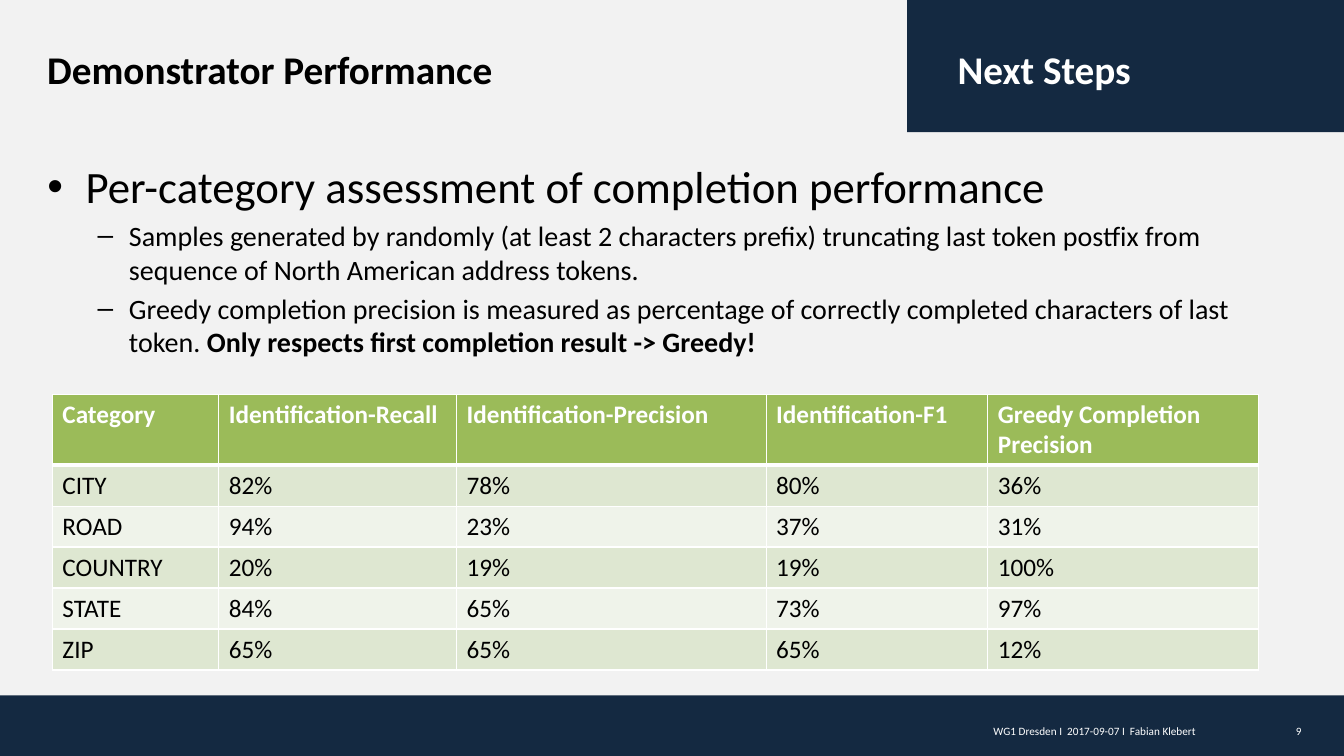
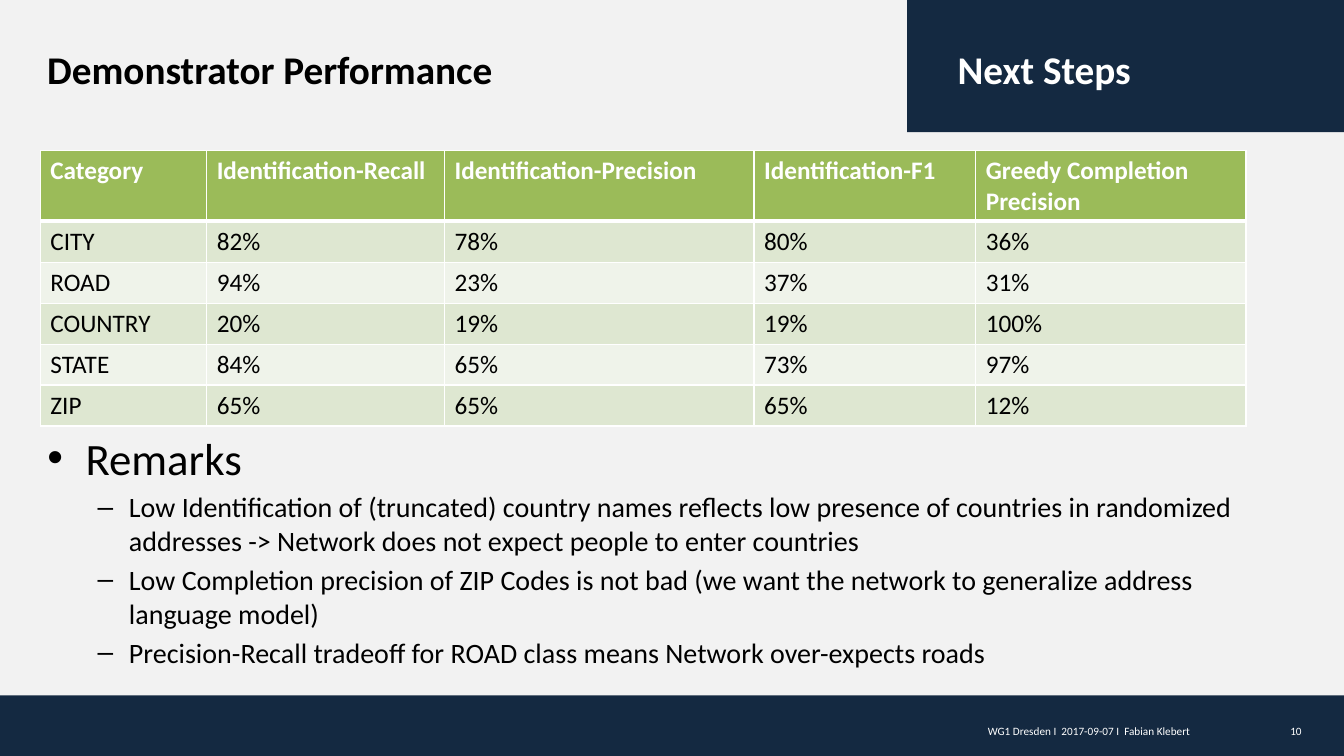
from lxml.etree import SubElement
from pptx import Presentation
from pptx.dml.color import RGBColor
from pptx.enum.shapes import MSO_SHAPE
from pptx.enum.text import MSO_ANCHOR, PP_ALIGN
from pptx.oxml import parse_xml
from pptx.oxml.ns import nsdecls, qn
from pptx.util import Inches, Pt

COLORS = {
    "paper": "F2F2F2",
    "navy": "142941",
    "white": "FFFFFF",
    "ink": "000000",
    "header": "9BBB59",
    "odd_row": "DEE7D1",
    "even_row": "EFF3EA",
}
FONT = "Calibri"
SCORES = [
    ["Category", "Identification-Recall", "Identification-Precision",
     "Identification-F1", "Greedy Completion Precision"],
    ["CITY", "82%", "78%", "80%", "36%"],
    ["ROAD", "94%", "23%", "37%", "31%"],
    ["COUNTRY", "20%", "19%", "19%", "100%"],
    ["STATE", "84%", "65%", "73%", "97%"],
    ["ZIP", "65%", "65%", "65%", "12%"],
]
SCORE_COLUMNS = [12.38, 17.7, 23.03, 16.5, 20.11]
HEADER_HEIGHT, ROW_HEIGHT = 9.4, 5.42


class Deck:
    """Shared style and current slide; lengths are percentages of the slide's size."""

    def __init__(self):
        self.presentation = Presentation()
        self.presentation.slide_width = Inches(13.33)
        self.presentation.slide_height = Inches(7.5)
        self.slide = None

    def across(self, share):
        return round(self.presentation.slide_width * share / 100)

    def down(self, share):
        return round(self.presentation.slide_height * share / 100)

    def box(self, left, top, width, height):
        return self.across(left), self.down(top), self.across(width), self.down(height)

    def color(self, name):
        return RGBColor.from_string(COLORS[name])

    def style(self, paragraph, size, color, bold=False):
        for run in paragraph.runs:
            run.font.name = FONT
            run.font.size = Pt(size)
            run.font.bold = bold
            run.font.color.rgb = self.color(color)

    def start(self, title, section, number):
        self.slide = self.presentation.slides.add_slide(self.presentation.slide_layouts[6])
        background = self.slide.background.fill
        background.solid()
        background.fore_color.rgb = self.color("paper")
        self.band(0, 92, 100, 8)
        self.band(67.5, 0, 32.5, 17.47)
        self.footer(number)
        self.heading(title, 2.78, 59.04, "ink")
        self.heading(section, 70.52, 26.78, "white")

    def band(self, *place):
        band = self.slide.shapes.add_shape(MSO_SHAPE.ROUNDED_RECTANGLE, *self.box(*place))
        band.adjustments[0] = 0
        band.shadow.inherit = False
        band.fill.solid()
        band.fill.fore_color.rgb = self.color("navy")
        band.line.fill.background()

    def text(self, *place):
        frame = self.slide.shapes.add_textbox(*self.box(*place)).text_frame
        frame.word_wrap = True
        return frame

    def heading(self, words, left, width, color):
        frame = self.text(left, 2.8, width, 12.53)
        frame.vertical_anchor = MSO_ANCHOR.MIDDLE
        frame.text = words
        frame.paragraphs[0].space_before = Pt(5.6)
        self.style(frame.paragraphs[0], 28, color, True)

    def footer(self, number):
        frame = self.text(48.69, 94, 48.16, 5.33)
        frame.margin_left = frame.margin_right = frame.margin_top = frame.margin_bottom = 0
        frame.vertical_anchor = MSO_ANCHOR.MIDDLE
        frame.text = f"WG1 Dresden I  2017-09-07 I  Fabian Klebert\t\t{number}"
        frame.paragraphs[0].alignment = PP_ALIGN.RIGHT
        self.style(frame.paragraphs[0], 8, "white")

    def bullet(self, paragraph, words, size, mark, indent, hang):
        paragraph.text = words
        paragraph.space_before = Pt(size * 0.2)
        self.style(paragraph, size, "ink")
        properties = paragraph._p.get_or_add_pPr()
        properties.set("marL", str(Inches(indent)))
        properties.set("indent", str(-Inches(hang)))
        SubElement(properties, qn("a:buFont"), typeface="Arial")
        SubElement(properties, qn("a:buChar"), char=mark)

    def outline(self, topic, points, top, height, emphasis=None):
        frame = self.text(2.78, top, 94.52, height)
        self.bullet(frame.paragraphs[0], topic, 32, "•", 0.38, 0.38)
        for point in points:
            paragraph = frame.add_paragraph()
            paragraph.level = 1
            self.bullet(paragraph, point, 20, "–", 0.81, 0.31)
        if emphasis:
            self.style(paragraph, 20, "ink")
            closing = paragraph.add_run()
            closing.text = emphasis
            closing.font.name = FONT
            closing.font.size = Pt(20)
            closing.font.bold = True
            closing.font.color.rgb = self.color("ink")

    def borders(self, cell, top, bottom):
        widths = {"lnL": 1, "lnR": 1, "lnT": top, "lnB": bottom}
        properties = cell._tc.get_or_add_tcPr()
        for position, (side, width) in enumerate(widths.items()):
            properties.insert(position, parse_xml(
                f'<a:{side} {nsdecls("a")} w="{Pt(width)}"><a:solidFill>'
                f'<a:srgbClr val="{COLORS["white"]}"/></a:solidFill></a:{side}>'))

    def table(self, rows, columns, left, top):
        heights = [HEADER_HEIGHT] + [ROW_HEIGHT] * (len(rows) - 1)
        place = self.box(left, top, sum(columns), sum(heights))
        grid = self.slide.shapes.add_table(len(rows), len(columns), *place).table
        for column, width in zip(grid.columns, columns):
            column.width = self.across(width)
        for index, (row, height, values) in enumerate(zip(grid.rows, heights, rows)):
            row.height = self.down(height)
            is_header = index == 0
            fill = "header" if is_header else ("even_row", "odd_row")[index % 2]
            for cell, value in zip(row.cells, values):
                cell.text = value
                self.style(cell.text_frame.paragraphs[0], 18,
                           "white" if is_header else "ink", is_header)
                cell.fill.solid()
                cell.fill.fore_color.rgb = self.color(fill)
                self.borders(cell, 3 if index == 1 else 1, 3 if is_header else 1)

    def save(self):
        self.presentation.save("out.pptx")


def main():
    deck = Deck()
    title, section = "Demonstrator Performance", "Next Steps"

    deck.start(title, section, 9)
    deck.outline(
        "Per-category assessment of completion performance",
        ["Samples generated by randomly (at least 2 characters prefix) truncating last token "
         "postfix from sequence of North American address tokens.",
         "Greedy completion precision is measured as percentage of correctly completed "
         "characters of last token. "],
        20.4, 68.53, "Only respects first completion result -> Greedy!")
    deck.table(SCORES, SCORE_COLUMNS, 3.9, 52.13)

    deck.start(title, section, 10)
    deck.outline(
        "Remarks",
        ["Low Identification of (truncated) country names reflects low presence of countries in "
         "randomized addresses -> Network does not expect people to enter countries",
         "Low Completion precision of ZIP Codes is not bad (we want the network to generalize "
         "address language model)",
         "Precision-Recall tradeoff for ROAD class means Network over-expects roads"],
        56.27, 32.53)
    deck.table(SCORES, SCORE_COLUMNS, 3, 19.87)

    deck.save()


if __name__ == "__main__":
    main()
